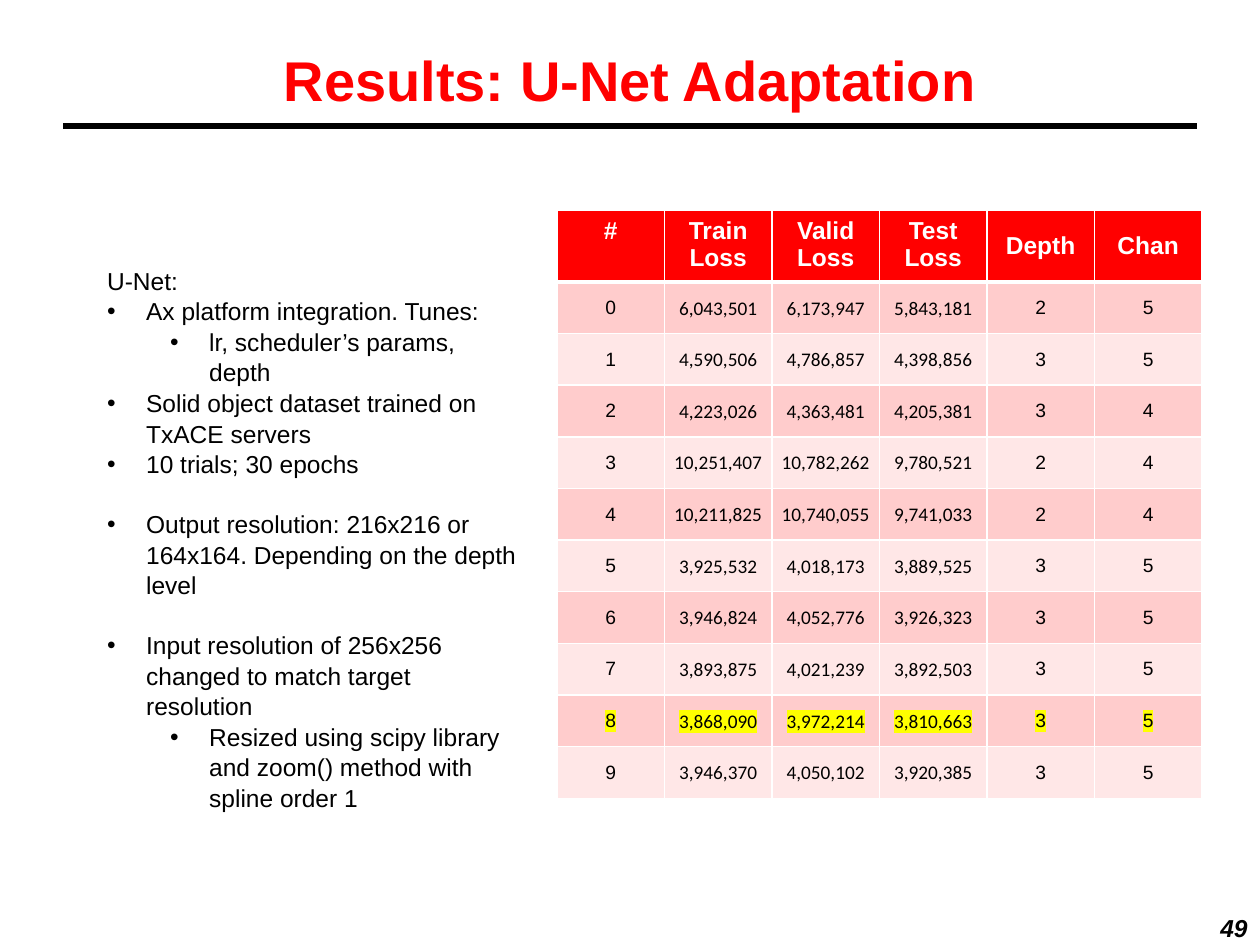
from lxml import etree
from pptx import Presentation
from pptx.dml.color import RGBColor
from pptx.enum.shapes import MSO_CONNECTOR
from pptx.enum.text import MSO_ANCHOR, MSO_AUTO_SIZE, PP_ALIGN
from pptx.oxml.ns import qn
from pptx.util import Inches, Pt

CENTER, LEFT, RIGHT = PP_ALIGN.CENTER, PP_ALIGN.LEFT, PP_ALIGN.RIGHT
TOP, MIDDLE = MSO_ANCHOR.TOP, MSO_ANCHOR.MIDDLE
NO_AUTOFIT = MSO_AUTO_SIZE.NONE
STRAIGHT = MSO_CONNECTOR.STRAIGHT

RED, WHITE, BLACK, YELLOW = "FF0000", "FFFFFF", "000000", "FFFF00"
BANDS = ("FFCCCC", "FFE7E7")
LINE_SPACING = 1.04
GAP = 16.8  # one line of the list, in points

# text, level, space before
POINTS = [
    ("U-Net:", None, 0),
    ("Ax platform integration. Tunes:", 0, 0),
    ("lr, scheduler’s params, depth", 1, 0),
    ("Solid object dataset trained on TxACE servers", 0, 0),
    ("10 trials; 30 epochs", 0, 0),
    ("Output resolution: 216x216 or 164x164. Depending on the depth level", 0, GAP),
    ("Input resolution of 256x256 changed to match target resolution", 0, GAP),
    ("Resized using scipy library and zoom() method with spline order 1", 1, 0),
]

HEADER = ["#", "Train Loss", "Valid Loss", "Test Loss", "Depth", "Chan"]
LOSS_COLUMNS = range(1, 4)
BEST_TRIAL = 8
TRIALS = [
    ("6,043,501", "6,173,947", "5,843,181", 2, 5),
    ("4,590,506", "4,786,857", "4,398,856", 3, 5),
    ("4,223,026", "4,363,481", "4,205,381", 3, 4),
    ("10,251,407", "10,782,262", "9,780,521", 2, 4),
    ("10,211,825", "10,740,055", "9,741,033", 2, 4),
    ("3,925,532", "4,018,173", "3,889,525", 3, 5),
    ("3,946,824", "4,052,776", "3,926,323", 3, 5),
    ("3,893,875", "4,021,239", "3,892,503", 3, 5),
    ("3,868,090", "3,972,214", "3,810,663", 3, 5),
    ("3,946,370", "4,050,102", "3,920,385", 3, 5),
]


def rgb(color):
    return RGBColor.from_string(color)


def add_color(parent, tag, color):
    element = etree.SubElement(parent, qn(tag))
    etree.SubElement(element, qn("a:srgbClr"), val=color)
    return element


def write(p, text, size=14, color=BLACK, font="Arial", bold=False,
          italic=False, align=LEFT, highlight=None):
    p.alignment = align
    r = p.add_run()
    r.text = text
    f = r.font
    f.size, f.bold, f.italic = Pt(size), bold, italic
    f.color.rgb = rgb(color)
    if highlight:
        add_color(r._r.get_or_add_rPr(), "a:highlight", highlight)
    f.name = font


def place(sp, box):
    sp.left, sp.top, sp.width, sp.height = (Inches(v) for v in box)


def set_bullet(p, level):
    """Give p a hanging bullet, or none when level is None."""
    pPr = p._p.get_or_add_pPr()
    if level is None:
        pPr.set("marL", "0")
        pPr.set("indent", "0")
        etree.SubElement(pPr, qn("a:buNone"))
        return
    p.level = level
    pPr.set("marL", str(Inches(0.31 + 0.5 * level)))
    pPr.set("indent", str(Inches(-0.31)))
    etree.SubElement(pPr, qn("a:buFont"), typeface="Arial")
    etree.SubElement(pPr, qn("a:buChar"), char="•")


def add_title(slide, box):
    title = slide.shapes.title
    place(title, box)
    tf = title.text_frame
    tf.auto_size, tf.vertical_anchor = NO_AUTOFIT, MIDDLE
    write(tf.paragraphs[0], "Results: U-Net Adaptation", size=32, color=RED,
          bold=True, align=CENTER)


def add_rule(slide, left, right, y):
    line = slide.shapes.add_connector(
        STRAIGHT, Inches(left), Inches(y), Inches(right), Inches(y))
    line.line.color.rgb = rgb(BLACK)
    line.line.width = Pt(4)
    etree.SubElement(line._element.spPr, qn("a:effectLst"))


def add_points(slide, box):
    body = slide.placeholders[1]
    place(body, box)
    tf = body.text_frame
    tf.auto_size, tf.vertical_anchor, tf.word_wrap = NO_AUTOFIT, TOP, True
    for i, (text, level, before) in enumerate(POINTS):
        p = tf.add_paragraph() if i else tf.paragraphs[0]
        p.line_spacing = LINE_SPACING
        p.space_before, p.space_after = Pt(before), Pt(0)
        set_bullet(p, level)
        write(p, text)


def set_borders(cell, top=1, bottom=1):
    tcPr = cell._tc.get_or_add_tcPr()
    widths = {"a:lnL": 1, "a:lnR": 1, "a:lnT": top, "a:lnB": bottom}
    for tag, width in widths.items():
        ln = etree.SubElement(tcPr, qn(tag), w=str(Pt(width)))
        add_color(ln, "a:solidFill", WHITE)


def fill_cell(cell, text, fill, anchor=MIDDLE, **text_format):
    cell.fill.solid()
    cell.fill.fore_color.rgb = rgb(fill)
    cell.vertical_anchor = anchor
    write(cell.text_frame.paragraphs[0], text, align=CENTER, **text_format)


def add_results(slide, box, header_height=0.52):
    left, top, width, height = box
    rows, cols = len(TRIALS) + 1, len(HEADER)
    table = slide.shapes.add_table(
        rows, cols, *(Inches(v) for v in box)).table
    table.horz_banding = False
    for column in table.columns:
        column.width = Inches(width / cols)
    for row in table.rows:
        row.height = Inches((height - header_height) / len(TRIALS))
    table.rows[0].height = Inches(header_height)

    for c, text in enumerate(HEADER):
        cell = table.cell(0, c)
        set_borders(cell, bottom=3)
        fill_cell(cell, text, RED, anchor=TOP if c <= LOSS_COLUMNS[-1] else MIDDLE,
                  color=WHITE, bold=True)

    for trial, values in enumerate(TRIALS):
        for c, value in enumerate((trial, *values)):
            cell = table.cell(trial + 1, c)
            is_loss = c in LOSS_COLUMNS
            if is_loss:
                cell.margin_left = cell.margin_right = cell.margin_top = Inches(0.01)
                cell.margin_bottom = 0
            set_borders(cell, top=1 if trial else 3)
            fill_cell(cell, str(value), BANDS[trial % 2], size=11,
                      font="Calibri" if is_loss else "Arial",
                      highlight=YELLOW if trial == BEST_TRIAL else None)


def add_page_number(slide, box):
    tf = slide.shapes.add_textbox(*(Inches(v) for v in box)).text_frame
    tf.word_wrap, tf.vertical_anchor = True, MIDDLE
    write(tf.paragraphs[0], "49", bold=True, italic=True, align=RIGHT)


def main():
    prs = Presentation()
    prs.slide_width, prs.slide_height = Inches(10), Inches(7.5)
    slide = prs.slides.add_slide(prs.slide_layouts[1])
    add_rule(slide, 0.5, 9.5, 1)
    add_page_number(slide, (8.58, 7.25, 1.42, 0.22))
    add_title(slide, (0.25, 0, 9.5, 1.25))
    add_results(slide, (4.42, 1.67, 5.12, 4.62))
    add_points(slide, (0.75, 2.05, 3.45, 4.34))
    prs.save("out.pptx")


if __name__ == "__main__":
    main()
